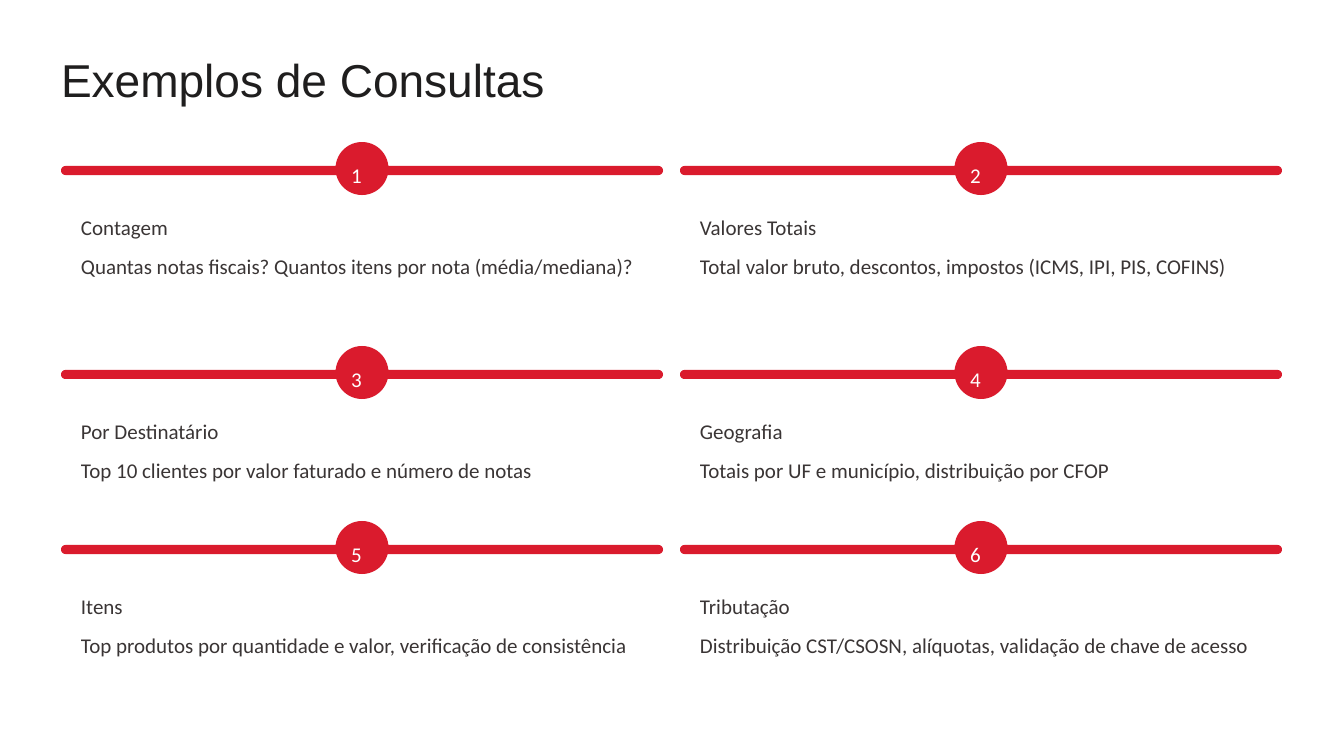
from math import asin, cos, degrees, radians, sin

from pptx import Presentation
from pptx.dml.color import RGBColor
from pptx.enum.text import MSO_ANCHOR, MSO_AUTO_SIZE, PP_ALIGN
from pptx.util import Pt

PX = 914400 / 84
RED = RGBColor(0xDA, 0x1B, 0x2D)
WHITE = RGBColor(0xFF, 0xFF, 0xFF)
INK = RGBColor(0x1F, 0x1E, 0x1E)
GRAY = RGBColor(0x3A, 0x35, 0x35)

COLUMN_LEFTS = (61, 680)
ROW_TOPS = (142, 346, 521)
BAR_WIDTH = 602
BAR_TOP = 24
BAR_HEIGHT = 9
DISC_SIZE = 53

QUERIES = [
    ("Contagem", "Quantas notas fiscais? Quantos itens por nota (média/mediana)?"),
    ("Valores Totais", "Total valor bruto, descontos, impostos (ICMS, IPI, PIS, COFINS)"),
    ("Por Destinatário", "Top 10 clientes por valor faturado e número de notas"),
    ("Geografia", "Totais por UF e município, distribuição por CFOP"),
    ("Itens", "Top produtos por quantidade e valor, verificação de consistência"),
    ("Tributação", "Distribuição CST/CSOSN, alíquotas, validação de chave de acesso"),
]


def px(value):
    return round(value * PX)


def format_text(text_frame, font_name, size, color):
    text_frame.margin_left = text_frame.margin_right = text_frame.margin_bottom = 0
    text_frame.margin_top = px(2)
    text_frame.auto_size = MSO_AUTO_SIZE.NONE
    text_frame.vertical_anchor = MSO_ANCHOR.TOP
    text_frame.word_wrap = True
    for paragraph in text_frame.paragraphs:
        paragraph.alignment = PP_ALIGN.LEFT
        for run in paragraph.runs:
            run.font.name = font_name
            run.font.size = Pt(size)
            run.font.color.rgb = color


def set_title(slide, text):
    title = slide.shapes.title
    title.left, title.top, title.width, title.height = px(61), px(49), px(500), px(58)
    title.text_frame.text = text
    format_text(title.text_frame, "Arial", 39.5, INK)


def add_text(slide, left, top, width, height, text, color):
    box = slide.shapes.add_textbox(px(left), px(top), px(width), px(height))
    box.text_frame.text = text
    format_text(box.text_frame, "Calibri", 18, color)
    for paragraph in box.text_frame.paragraphs[1:]:
        paragraph.space_before = Pt(11.8)


def arc(center_x, center_y, radius, start, end, steps=24):
    angles = [radians(start + (end - start) * step / steps) for step in range(steps + 1)]
    return [(px(center_x + radius * cos(angle)), px(center_y + radius * sin(angle)))
            for angle in angles]


def add_marker(slide, left, top):
    radius = DISC_SIZE / 2
    cap = BAR_HEIGHT / 2
    center_x = left + BAR_WIDTH / 2
    center_y = top + radius
    bar_y = top + BAR_TOP + cap
    upper = degrees(asin((radius - BAR_TOP) / radius))
    lower = degrees(asin((BAR_TOP + BAR_HEIGHT - radius) / radius))
    outline = (
        arc(center_x, center_y, radius, 180 + upper, 360 - upper)
        + arc(left + BAR_WIDTH - cap, bar_y, cap, -90, 90)
        + arc(center_x, center_y, radius, lower, 180 - lower)
        + arc(left + cap, bar_y, cap, 90, 270)
    )
    builder = slide.shapes.build_freeform(*outline[0])
    builder.add_line_segments(outline[1:], close=True)
    marker = builder.convert_to_shape()
    marker.shadow.inherit = False
    marker.fill.solid()
    marker.fill.fore_color.rgb = RED
    marker.line.fill.background()


def add_query(slide, number, left, top, heading, detail):
    add_marker(slide, left, top)
    add_text(slide, left + 290, top + 19, 13, 28, str(number), WHITE)
    add_text(slide, left + 20, top + 71, 572, 68, f"{heading}\n{detail}", GRAY)


def main():
    presentation = Presentation()
    presentation.slide_width, presentation.slide_height = px(1344), px(756)
    slide = presentation.slides.add_slide(presentation.slide_layouts[5])
    set_title(slide, "Exemplos de Consultas")
    for index, (heading, detail) in enumerate(QUERIES):
        row, column = divmod(index, len(COLUMN_LEFTS))
        add_query(slide, index + 1, COLUMN_LEFTS[column], ROW_TOPS[row], heading, detail)
    presentation.save("out.pptx")


if __name__ == "__main__":
    main()
